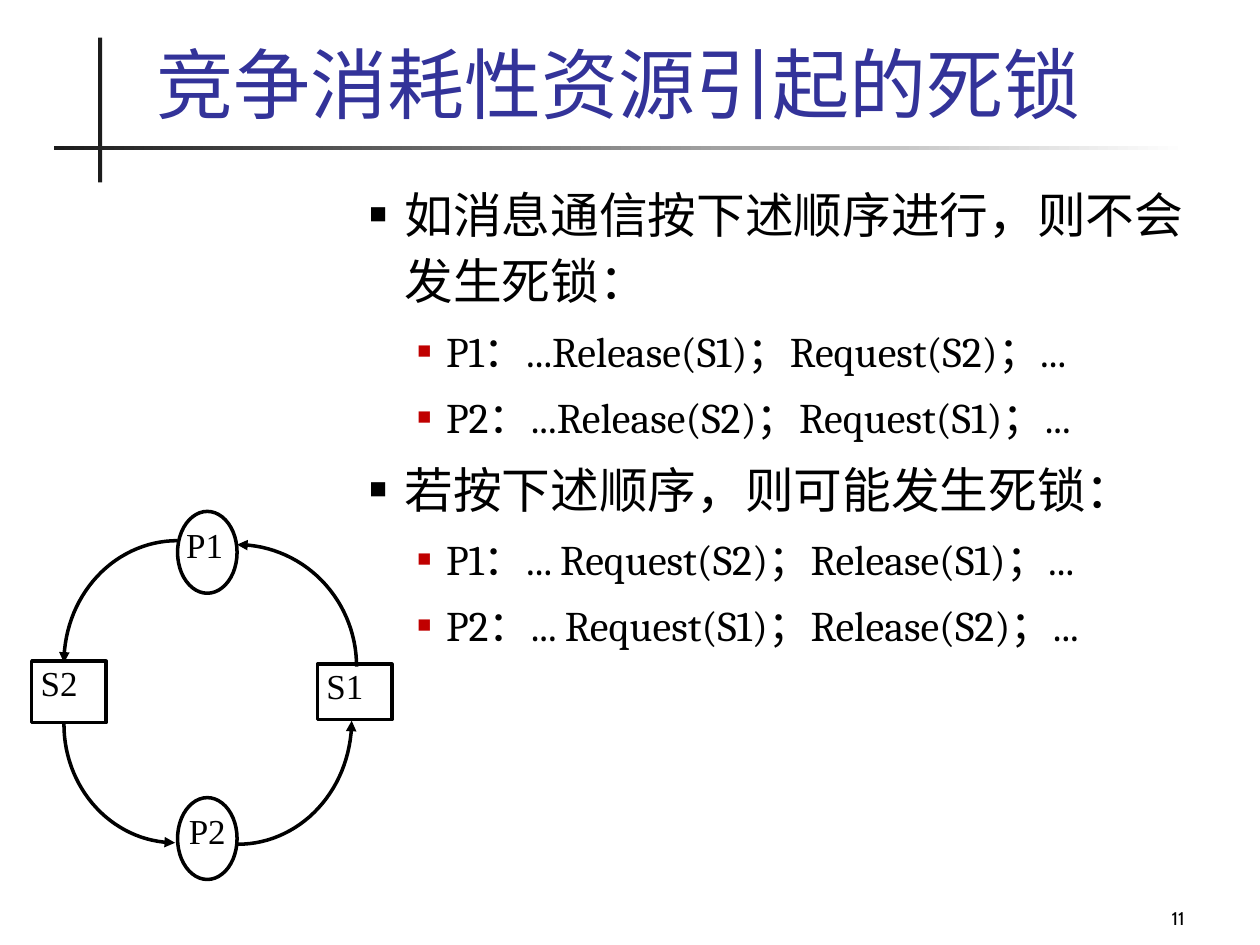
from math import cos, radians, sin

from lxml.etree import SubElement
from pptx import Presentation
from pptx.dml.color import RGBColor
from pptx.enum.shapes import MSO_SHAPE as Shape
from pptx.enum.text import MSO_ANCHOR as Anchor, MSO_AUTO_SIZE as AutoSize, PP_ALIGN as Align
from pptx.oxml.ns import qn
from pptx.util import Cm, Pt

BLACK = RGBColor(0x00, 0x00, 0x00)
WHITE = RGBColor(0xFF, 0xFF, 0xFF)
DARK = RGBColor(0x1C, 0x1C, 0x1C)
BLUE = RGBColor(0x33, 0x33, 0x99)
RED = RGBColor(0xC0, 0x00, 0x00)

TITLE = "竞争消耗性资源引起的死锁"
# (level, text)
BODY = [
    (0, "如消息通信按下述顺序进行，则不会发生死锁："),
    (1, "P1：...Release(S1)；Request(S2)；..."),
    (1, "P2：...Release(S2)；Request(S1)；..."),
    (0, "若按下述顺序，则可能发生死锁："),
    (1, "P1：... Request(S2)；Release(S1)；..."),
    (1, "P2：... Request(S1)；Release(S2)；..."),
]
# level: (size, left margin, hanging indent, bullet colour, bullet size %)
LEVELS = {
    0: (27.8, Cm(0.71), Cm(-0.71), BLACK, 60),
    1: (24.1, Cm(1.55), Cm(-0.58), RED, 55),
}
# (label, shape, left, top, width, height, left inset, alignment)
NODES = [
    ("P1", Shape.OVAL, 3.58, 10.31, 1.2, 1.65, 0, Align.LEFT),
    ("S2", Shape.RECTANGLE, 0.64, 13.33, 1.5, 1.24, 0.18, Align.LEFT),
    ("S1", Shape.RECTANGLE, 6.4, 13.39, 1.5, 1.12, 0.18, Align.LEFT),
    ("P2", Shape.OVAL, 3.58, 16.08, 1.2, 1.65, 0, Align.CENTER),
]
# Quarter arcs S1 > P1 > S2 > P2 > S1: (centre x, centre y, radius x, radius y)
ARCS = [
    (4.78, 13.44, 2.41, 2.46),
    (3.58, 13.36, 2.29, 2.46),
    (3.53, 14.6, 2.24, 2.39),
    (4.8, 14.53, 2.29, 2.49),
]


def style(p, size, name, color):
    for r in p.runs:
        r.font.size, r.font.name = Pt(size), name
        r.font.color.rgb = color


def place(sp, left, top, width, height):
    sp.left, sp.top, sp.width, sp.height = Cm(left), Cm(top), Cm(width), Cm(height)


def add_bullet(p, margin, indent, color, percent):
    pPr = p._p.get_or_add_pPr()
    pPr.set("marL", str(margin))
    pPr.set("indent", str(indent))
    clr = SubElement(pPr, qn("a:buClr"))
    SubElement(clr, qn("a:srgbClr"), val=str(color))
    SubElement(pPr, qn("a:buSzPct"), val=str(percent * 1000))
    SubElement(pPr, qn("a:buFont"), typeface="Arial")
    SubElement(pPr, qn("a:buChar"), char="■")


def add_rule(slide, left, top, width, height, fade=False):
    sp = slide.shapes.add_shape(Shape.RECTANGLE, Cm(left), Cm(top), Cm(width), Cm(height))
    sp.shadow.inherit = False
    sp.line.fill.background()
    if fade:
        sp.fill.gradient()
        sp.fill.gradient_angle = 0
        for stop, color in zip(sp.fill.gradient_stops, (DARK, WHITE)):
            stop.color.rgb = color
    else:
        sp.fill.solid()
        sp.fill.fore_color.rgb = DARK


def fill_title(sp):
    place(sp, 2.9, 0.64, 21.82, 2.08)
    tf = sp.text_frame
    tf.text = TITLE
    tf.auto_size = AutoSize.NONE
    tf.vertical_anchor = Anchor.BOTTOM
    p = tf.paragraphs[0]
    p.alignment = Align.LEFT
    style(p, 44, "Cambria", BLUE)


def fill_body(sp):
    place(sp, 7.19, 3.43, 16.99, 13.59)
    tf = sp.text_frame
    tf.auto_size = AutoSize.NONE
    for i, (level, text) in enumerate(BODY):
        p = tf.add_paragraph() if i else tf.paragraphs[0]
        size, *bullet = LEVELS[level]
        p.text = text
        p.level = level
        add_bullet(p, *bullet)
        p.line_spacing = 1.14
        p.space_before = Pt(size * 0.2 if i else 0)
        style(p, size, "Cambria", BLACK)


def add_page_number(slide, text):
    sp = slide.shapes.add_textbox(Cm(18.85), Cm(17.58), Cm(5.28), Cm(1.27))
    tf = sp.text_frame
    tf.text = text
    tf.word_wrap = True
    tf.vertical_anchor = Anchor.BOTTOM
    p = tf.paragraphs[0]
    p.alignment = Align.RIGHT
    style(p, 10.5, "Cabin", BLACK)


def add_node(slide, label, kind, left, top, width, height, inset, align):
    sp = slide.shapes.add_shape(kind, Cm(left), Cm(top), Cm(width), Cm(height))
    sp.shadow.inherit = False
    sp.fill.solid()
    sp.fill.fore_color.rgb = WHITE
    sp.line.color.rgb = BLACK
    sp.line.width = Pt(2)
    tf = sp.text_frame
    tf.margin_left = Cm(inset)
    tf.margin_top = tf.margin_right = tf.margin_bottom = 0
    tf.vertical_anchor = Anchor.TOP
    tf.text = label
    p = tf.paragraphs[0]
    p.alignment = align
    style(p, 20, "Times New Roman", BLACK)


def add_arc_arrow(slide, cx, cy, rx, ry, start):
    """Quarter arc running counterclockwise from start degrees, arrow at its end."""
    angles = [radians(start - step) for step in range(0, 91, 3)]
    points = [(Cm(cx + rx * cos(a)), Cm(cy + ry * sin(a))) for a in angles]
    builder = slide.shapes.build_freeform(*points[0])
    builder.add_line_segments(points[1:], close=False)
    sp = builder.convert_to_shape()
    sp.shadow.inherit = False
    sp.fill.background()
    sp.line.color.rgb = BLACK
    sp.line.width = Pt(2)
    SubElement(sp.line._get_or_add_ln(), qn("a:tailEnd"), type="triangle")


def main():
    prs = Presentation()
    prs.slide_width, prs.slide_height = Cm(25.4), Cm(19.05)
    slide = prs.slides.add_slide(prs.slide_layouts[1])

    # Crossed rules beside and below the title
    add_rule(slide, 1.98, 0.76, 0.08, 2.92)
    add_rule(slide, 1.09, 2.95, 22.86, 0.08, fade=True)

    # Title, list and page number
    fill_title(slide.shapes.title)
    fill_body(slide.placeholders[1])
    add_page_number(slide, "11")

    # Resource cycle
    for node in NODES:
        add_node(slide, *node)
    for i, arc in enumerate(ARCS):
        add_arc_arrow(slide, *arc, start=-90 * i)

    prs.save("out.pptx")


if __name__ == "__main__":
    main()
